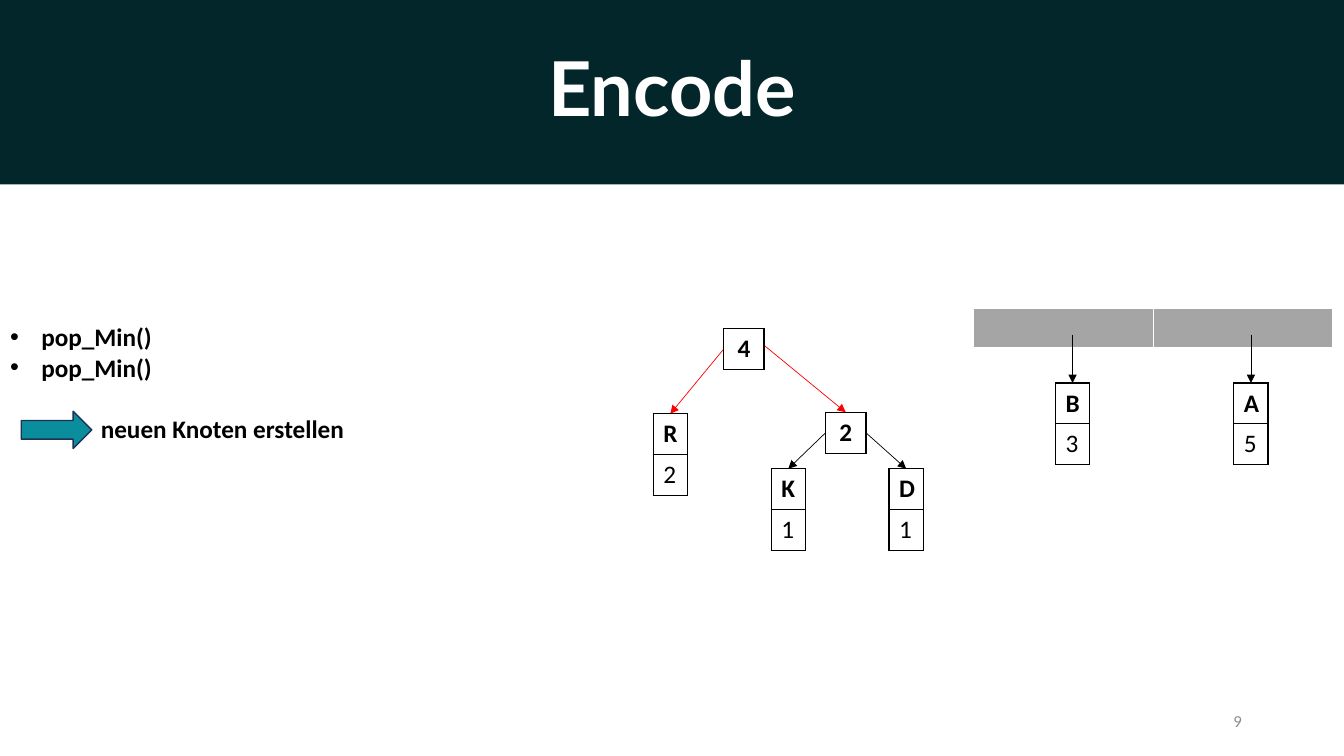
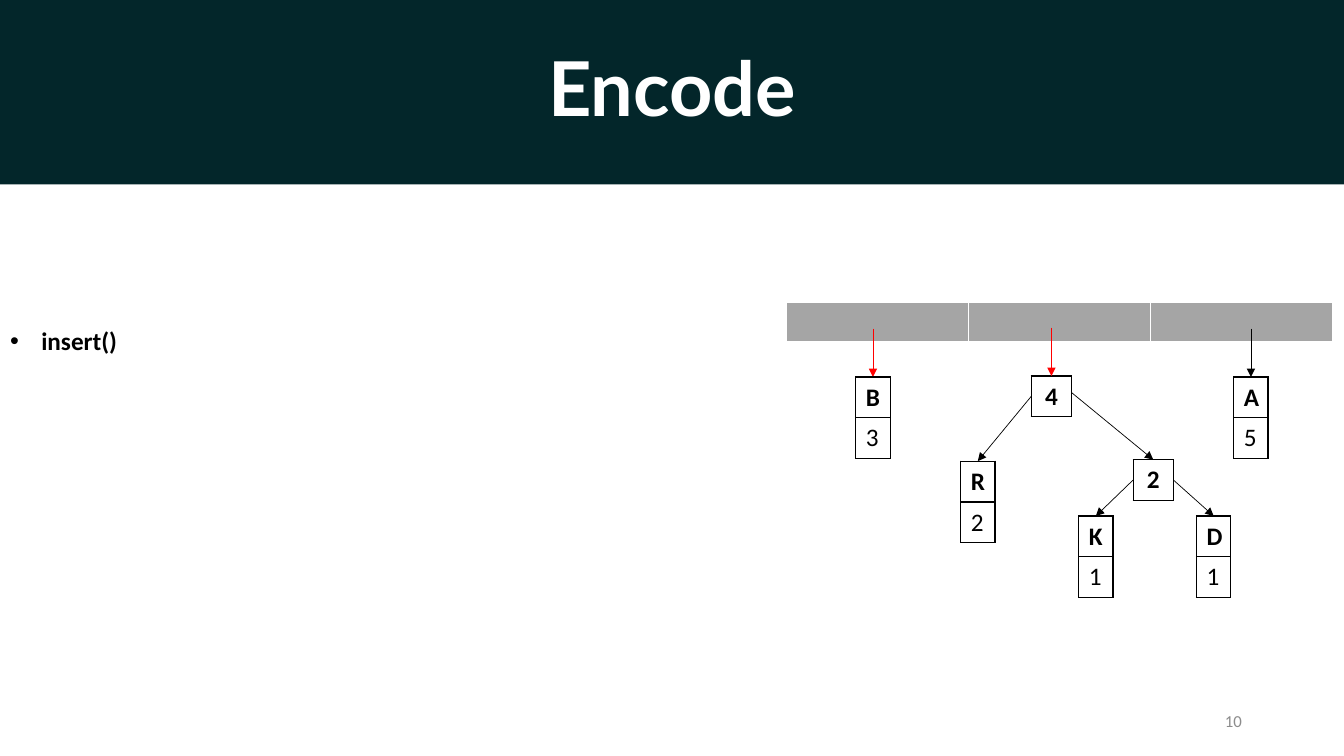
from dataclasses import dataclass

from lxml import etree
from pptx import Presentation
from pptx.dml.color import RGBColor
from pptx.enum.shapes import MSO_CONNECTOR, MSO_SHAPE
from pptx.enum.text import MSO_ANCHOR, MSO_AUTO_SIZE, PP_ALIGN
from pptx.oxml.ns import qn
from pptx.util import Inches, Pt

LEFT, CENTER, RIGHT = PP_ALIGN.LEFT, PP_ALIGN.CENTER, PP_ALIGN.RIGHT
TOP, MIDDLE = MSO_ANCHOR.TOP, MSO_ANCHOR.MIDDLE
NO_AUTOFIT = MSO_AUTO_SIZE.NONE
STRAIGHT = MSO_CONNECTOR.STRAIGHT
RIGHT_ARROW = MSO_SHAPE.RIGHT_ARROW

SLIDE_WIDTH, SLIDE_HEIGHT = Inches(13.33), Inches(7.5)
COLUMN, ROW = SLIDE_WIDTH / 100, SLIDE_HEIGHT / 100
CELL_HEIGHT = 5.4
LEAF_WIDTH, NODE_WIDTH = 2.55, 3
POINTER_LENGTH = 6.4
QUEUE_RIGHT = 99.15
A_LEFT = 91.8

TREE_BOXES = {
    "4": (0, 0, ["4"]),
    "2": (7.58, 11.07, ["2"]),
    "R": (-5.25, 11.27, ["R", "2"]),
    "K": (3.53, 18.53, ["K", "1"]),
    "D": (12.3, 18.53, ["D", "1"]),
}
TREE_EDGES = [
    ("4", "R", 0, 2.7),
    ("4", "2", NODE_WIDTH, 2.2),
    ("2", "K", 0, 2.7),
    ("2", "D", NODE_WIDTH, 2.7),
]


@dataclass(frozen=True)
class Theme:
    band: str = "03262A"
    white: str = "FFFFFF"
    black: str = "000000"
    red: str = "FF0000"
    queue: str = "A5A5A5"
    accent: str = "0A8D9C"
    accent_line: str = "1E3256"
    muted: str = "8C8C8C"
    title_font: str = "Lato"
    body_font: str = "Calibri"
    title_size: int = 54
    body_size: int = 18
    number_size: int = 12


THEME = Theme()


@dataclass(frozen=True)
class Box:
    left: float
    top: float
    texts: list

    @property
    def width(self):
        return NODE_WIDTH if len(self.texts) == 1 else LEAF_WIDTH

    @property
    def entry(self):
        return self.left + self.width / 2, self.top


def place(left, top, width, height):
    return [int(left * COLUMN), int(top * ROW), int(width * COLUMN), int(height * ROW)]


def set_attributes(target, values):
    for name, value in values.items():
        setattr(target, name, value)


def move(shape, area):
    set_attributes(shape, dict(zip(("left", "top", "width", "height"), place(*area))))


def paint(target, color):
    target.fill.solid()
    target.fill.fore_color.rgb = RGBColor.from_string(color)


def write(paragraph, text, color=THEME.black, font=THEME.body_font,
          size=THEME.body_size, bold=True, **layout):
    run = paragraph.add_run()
    run.text = text
    set_attributes(run.font, {"name": font, "size": Pt(size), "bold": bold})
    run.font.color.rgb = RGBColor.from_string(color)
    set_attributes(paragraph, layout)


def set_bullet(paragraph, bulleted, margin):
    properties = paragraph._p.get_or_add_pPr()
    properties.set("marL", str(Inches(margin)))
    properties.set("indent", str(-Inches(margin) if bulleted else 0))
    if bulleted:
        etree.SubElement(properties, qn("a:buFont"), typeface="Arial")
        etree.SubElement(properties, qn("a:buChar"), char="•")
    else:
        etree.SubElement(properties, qn("a:buNone"))


def set_borders(cell, color, widths):
    properties = cell._tc.get_or_add_tcPr()
    for position, (side, width) in enumerate(zip("LRTB", widths)):
        line = etree.Element(qn(f"a:ln{side}"), w=str(Pt(width)))
        fill = etree.SubElement(line, qn("a:solidFill"))
        etree.SubElement(fill, qn("a:srgbClr"), val=color)
        properties.insert(position, line)


def add_grid(slide, left, top, width, rows, columns):
    area = place(left, top, width, rows * CELL_HEIGHT)
    table = slide.shapes.add_table(rows, columns, *area).table
    set_attributes(table, {"first_row": False, "horz_banding": False})
    return table


def add_queue(slide, top, count, column_width):
    width = count * column_width
    table = add_grid(slide, QUEUE_RIGHT - width, top, width, 1, count)
    for cell in table.iter_cells():
        paint(cell, THEME.queue)
        set_borders(cell, THEME.white, (1, 1, 1, 3))


def add_box(slide, box):
    table = add_grid(slide, box.left, box.top, box.width, len(box.texts), 1)
    alignment = CENTER if len(box.texts) == 1 else LEFT
    for position, (cell, text) in enumerate(zip(table.iter_cells(), box.texts)):
        paint(cell, THEME.white)
        set_borders(cell, THEME.black, (1, 1, 1, 1))
        write(cell.text_frame.paragraphs[0], text, bold=position == 0, alignment=alignment)


def add_arrow(slide, start, end, color):
    points = [int(value) for x, y in (start, end) for value in (x * COLUMN, y * ROW)]
    connector = slide.shapes.add_connector(STRAIGHT, *points)
    connector.line.width = Pt(0.5)
    connector.line.color.rgb = RGBColor.from_string(color)
    properties = connector.element.spPr
    etree.SubElement(properties.find(qn("a:ln")), qn("a:tailEnd"), type="triangle")
    etree.SubElement(properties, qn("a:effectLst"))


def add_pointer(slide, box, color=THEME.black):
    x, y = box.entry
    add_arrow(slide, (x, y - POINTER_LENGTH), (x, y), color)


def add_queued_leaf(slide, left, top, texts, color=THEME.black):
    leaf = Box(left, top, texts)
    add_pointer(slide, leaf, color)
    add_box(slide, leaf)


def add_tree(slide, left, top, root_color=THEME.black):
    boxes = {name: Box(left + x, top + y, texts)
             for name, (x, y, texts) in TREE_BOXES.items()}
    for parent, child, x, y in TREE_EDGES:
        start = boxes[parent].left + x, boxes[parent].top + y
        color = root_color if parent == "4" else THEME.black
        add_arrow(slide, start, boxes[child].entry, color)
    for box in boxes.values():
        add_box(slide, box)
    return boxes["4"]


def add_title(slide, text):
    title = slide.shapes.title
    move(title, (0, 0, 100, 24.4))
    paint(title, THEME.band)
    set_attributes(title.text_frame, {"vertical_anchor": MIDDLE, "auto_size": NO_AUTOFIT})
    write(title.text_frame.paragraphs[0], text, THEME.white, THEME.title_font,
          THEME.title_size, alignment=CENTER, line_spacing=0.9)


def add_steps(slide, area, steps, result=None):
    body = slide.placeholders[1]
    move(body, area)
    frame = body.text_frame
    set_attributes(frame, {"vertical_anchor": TOP, "auto_size": NO_AUTOFIT, "word_wrap": True})
    items = [(step, True, 0.31, 0) for step in steps]
    if result:
        items.append((result, False, 0.9, 22))
    for position, (text, bulleted, margin, gap) in enumerate(items):
        paragraph = frame.add_paragraph() if position else frame.paragraphs[0]
        set_bullet(paragraph, bulleted, margin)
        write(paragraph, text, alignment=LEFT, line_spacing=1.0, space_before=Pt(gap))


def add_block_arrow(slide, area):
    arrow = slide.shapes.add_shape(RIGHT_ARROW, *place(*area))
    arrow.shadow.inherit = False
    paint(arrow, THEME.accent)
    arrow.line.color.rgb = RGBColor.from_string(THEME.accent_line)
    arrow.line.width = Pt(1)


def add_page_number(slide, number):
    frame = slide.shapes.add_textbox(*place(70.65, 92.67, 22.5, 5.33)).text_frame
    set_attributes(frame, {"vertical_anchor": MIDDLE, "word_wrap": True})
    write(frame.paragraphs[0], str(number), THEME.muted, size=THEME.number_size,
          bold=False, alignment=RIGHT)


def add_slide(presentation, title, number):
    slide = presentation.slides.add_slide(presentation.slide_layouts[1])
    add_title(slide, title)
    add_page_number(slide, number)
    return slide


def add_merge_slide(presentation):
    slide = add_slide(presentation, "Encode", 9)
    add_queue(slide, 40.8, 2, 13.35)
    add_queued_leaf(slide, 78.53, 50.67, ["B", "3"])
    add_queued_leaf(slide, A_LEFT, 50.67, ["A", "5"])
    add_tree(slide, 53.85, 43.47, THEME.red)
    add_steps(slide, (0, 41.87, 32.2, 17.47), ["pop_Min()", "pop_Min()"],
              "neuen Knoten erstellen")
    add_block_arrow(slide, (1.58, 54.4, 5.25, 4.93))


def add_insert_slide(presentation):
    slide = add_slide(presentation, "Encode", 10)
    add_queue(slide, 40, 3, 13.55)
    add_queued_leaf(slide, 63.68, 49.87, ["B", "3"], THEME.red)
    add_queued_leaf(slide, A_LEFT, 49.87, ["A", "5"])
    root = add_tree(slide, 76.73, 49.73)
    add_pointer(slide, root, THEME.red)
    add_steps(slide, (0, 42.4, 27.9, 5.33), ["insert()"])


def main():
    presentation = Presentation()
    set_attributes(presentation, {"slide_width": SLIDE_WIDTH, "slide_height": SLIDE_HEIGHT})
    add_merge_slide(presentation)
    add_insert_slide(presentation)
    presentation.save("out.pptx")


if __name__ == "__main__":
    main()
